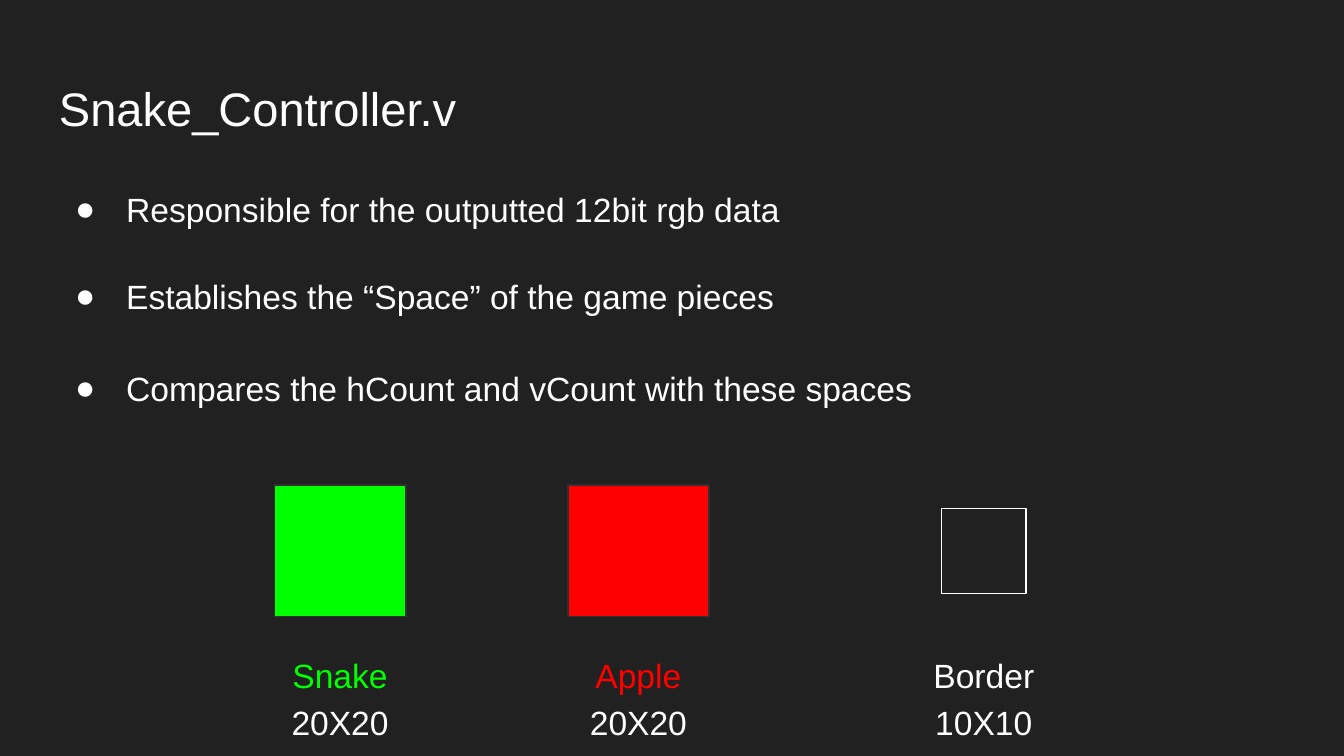
from lxml.etree import SubElement
from pptx import Presentation
from pptx.dml.color import RGBColor
from pptx.enum.shapes import MSO_SHAPE
from pptx.enum.text import MSO_ANCHOR, PP_ALIGN
from pptx.oxml.ns import qn
from pptx.util import Inches, Pt

BACKGROUND = RGBColor(0x21, 0x21, 0x21)
OUTLINE = RGBColor(0x30, 0x30, 0x30)
WHITE = RGBColor(0xFF, 0xFF, 0xFF)
GREEN = RGBColor(0x00, 0xFF, 0x00)
RED = RGBColor(0xFF, 0x00, 0x00)

# Text and the space before it in points
BULLETS = [
    ("Responsible for the outputted 12bit rgb data", 0),
    ("Establishes the “Space” of the game pieces", 21.7),
    ("Compares the hCount and vCount with these spaces", 24.4),
]

# Name, pixel size, center x, width, height, fill, outline, name colour
PIECES = [
    ("Snake", "20X20", 2.53, 0.98, 0.98, GREEN, OUTLINE, GREEN),
    ("Apple", "20X20", 4.75, 1.05, 0.98, RED, OUTLINE, RED),
    ("Border", "10X10", 7.32, 0.63, 0.63, BACKGROUND, WHITE, WHITE),
]


def add_text_box(page, left, top, width, height):
    box = page.shapes.add_textbox(
        Inches(left), Inches(top), Inches(width), Inches(height))
    frame = box.text_frame
    frame.word_wrap = True
    frame.vertical_anchor = MSO_ANCHOR.TOP
    frame.margin_left = frame.margin_right = Inches(0.1)
    frame.margin_top = frame.margin_bottom = Inches(0.1)
    return frame


def write(para, text, *, size=18, color=WHITE, align=PP_ALIGN.LEFT):
    para.alignment = align
    span = para.add_run()
    span.text = text
    span.font.name = "Arial"
    span.font.size = Pt(size)
    span.font.color.rgb = color


def set_bullet(para, *, indent=0.5, hanging=0.38):
    properties = para._p.get_or_add_pPr()
    properties.set("marL", str(Inches(indent)))
    properties.set("indent", str(-Inches(hanging)))
    color = SubElement(properties, qn("a:buClr"))
    SubElement(color, qn("a:srgbClr"), val=str(WHITE))
    SubElement(properties, qn("a:buFont"), typeface="Arial")
    SubElement(properties, qn("a:buChar"), char="●")


def add_title(page, left, top, width, height):
    frame = add_text_box(page, left, top, width, height)
    write(frame.paragraphs[0], "Snake_Controller.v", size=25.2)


def add_bullets(page, left, top, width, height):
    frame = add_text_box(page, left, top, width, height)
    for index, (text, gap) in enumerate(BULLETS):
        para = frame.add_paragraph() if index else frame.paragraphs[0]
        write(para, text)
        para.line_spacing = 1.15
        para.space_before = Pt(gap)
        set_bullet(para)


def add_piece(page, center_x, top, piece):
    """Draw a game piece in a 0.98 inch high band with its two labels below."""
    name, pixels, _, width, height, fill, outline, name_color = piece
    square = page.shapes.add_shape(
        MSO_SHAPE.RECTANGLE,
        Inches(center_x - width / 2), Inches(top + (0.98 - height) / 2),
        Inches(width), Inches(height))
    square.shadow.inherit = False
    square.fill.solid()
    square.fill.fore_color.rgb = fill
    square.line.color.rgb = outline
    square.line.width = Pt(0.75)
    labels = [(name, 1.16, 1.05, name_color), (pixels, 1.51, 0.98, WHITE)]
    for text, offset, label_width, color in labels:
        frame = add_text_box(
            page, center_x - label_width / 2, top + offset, label_width, 0.5)
        write(frame.paragraphs[0], text, color=color, align=PP_ALIGN.CENTER)


def main():
    deck = Presentation()
    deck.slide_width = Inches(10)
    deck.slide_height = deck.slide_width * 9 // 16
    page = deck.slides.add_slide(deck.slide_layouts[6])
    page.background.fill.solid()
    page.background.fill.fore_color.rgb = BACKGROUND
    add_title(page, 0.34, 0.49, 9.32, 0.63)
    add_bullets(page, 0.34, 1.26, 9.32, 1.97)
    for piece in PIECES:
        add_piece(page, piece[2], 3.61, piece)
    deck.save("out.pptx")


if __name__ == "__main__":
    main()
